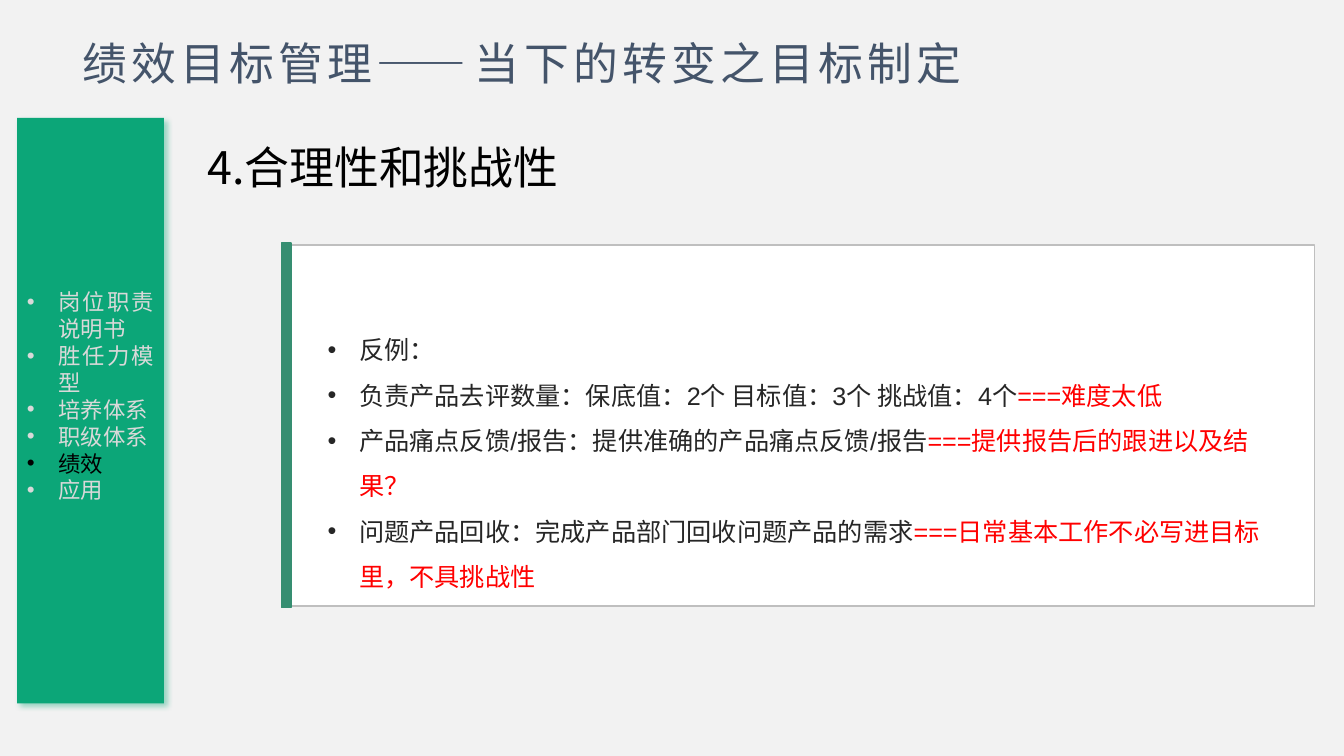
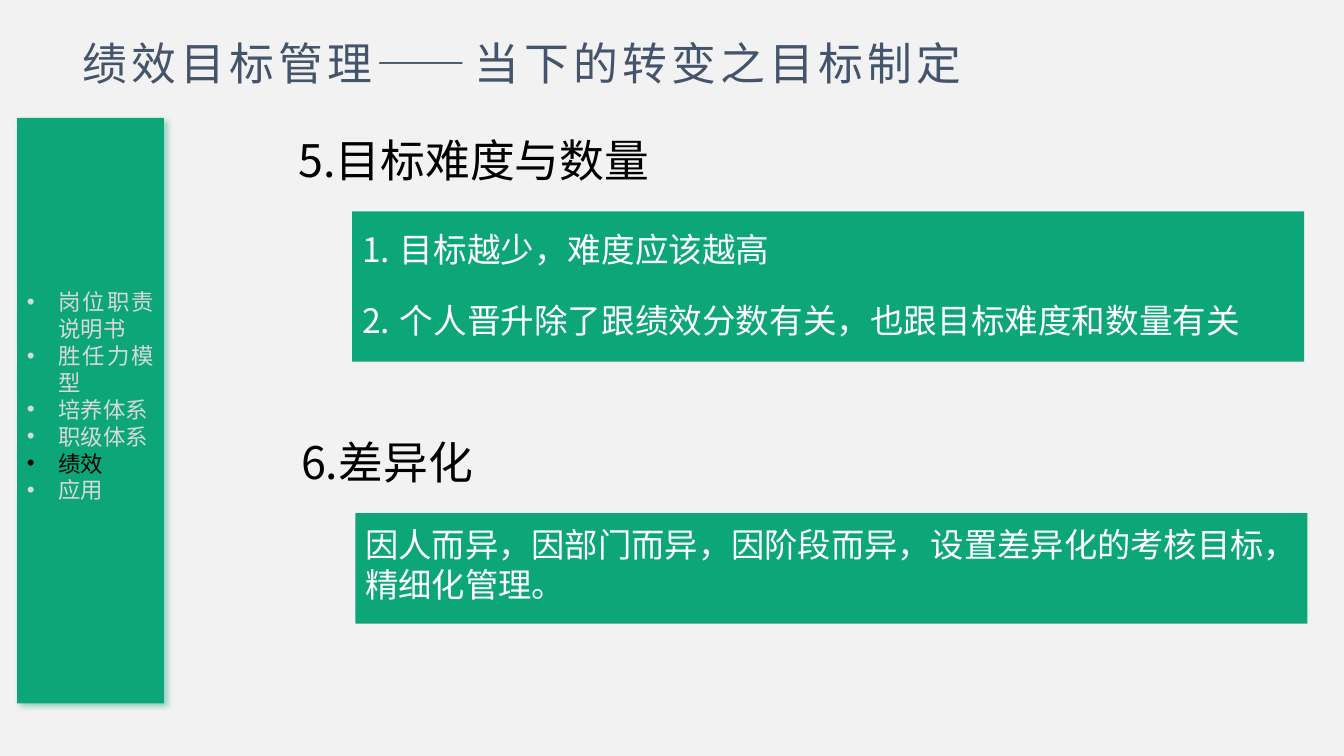
from lxml import etree
from pptx import Presentation
from pptx.dml.color import RGBColor
from pptx.enum.shapes import MSO_SHAPE
from pptx.enum.text import MSO_ANCHOR, PP_ALIGN
from pptx.oxml.ns import qn
from pptx.util import Pt

RECT = MSO_SHAPE.RECTANGLE
TOP, MIDDLE = MSO_ANCHOR.TOP, MSO_ANCHOR.MIDDLE
LEFT, CENTER, JUSTIFY = PP_ALIGN.LEFT, PP_ALIGN.CENTER, PP_ALIGN.JUSTIFY

PAPER = RGBColor(0xF2, 0xF2, 0xF2)
WHITE = RGBColor(0xFF, 0xFF, 0xFF)
BLACK = RGBColor(0, 0, 0)
SLATE = RGBColor(0x44, 0x54, 0x6A)
GREEN = RGBColor(0x0C, 0xA6, 0x78)
PINE = RGBColor(0x36, 0x8E, 0x71)
SILVER = RGBColor(0xBF, 0xBF, 0xBF)
PALE = RGBColor(0xD9, 0xD9, 0xD9)
INK = RGBColor(0x26, 0x26, 0x26)
RED = RGBColor(0xFF, 0, 0)

SANS, ARIAL = "Noto Sans CJK SC", "Arial"
TITLE = "绩效目标管理——当下的转变之目标制定"
MENU = ["岗位职责说明书", "胜任力模型", "培养体系", "职级体系", "绩效", "应用"]
ACTIVE = "绩效"
CASES = [
    ("反例：", ""),
    ("负责产品去评数量：保底值：2个 目标值：3个 挑战值：4个", "===难度太低"),
    ("产品痛点反馈/报告：提供准确的产品痛点反馈/报告", "===提供报告后的跟进以及结果？"),
    ("问题产品回收：完成产品部门回收问题产品的需求", "===日常基本工作不必写进目标里，不具挑战性"),
]
RULES = ["目标越少，难度应该越高", "个人晋升除了跟绩效分数有关，也跟目标难度和数量有关"]
CUSTOM = "因人而异，因部门而异，因阶段而异，设置差异化的考核目标，精细化管理。"


class Deck:
    def __init__(self):
        self.prs = Presentation()
        self.prs.slide_width, self.prs.slide_height = Pt(960), Pt(540)
        self.slide = None

    def page(self):
        self.slide = self.prs.slides.add_slide(self.prs.slide_layouts[6])
        fill = self.slide.background.fill
        fill.solid()
        fill.fore_color.rgb = PAPER
        frame = self.text(15, 22.3, 716, 46)
        self.para(frame, TITLE, 32, SLATE, align=CENTER, track=300)
        self.menu()

    def text(self, x, y, w, h, anchor=TOP):
        box = self.slide.shapes.add_textbox(Pt(x), Pt(y), Pt(w), Pt(h))
        frame = box.text_frame
        frame.word_wrap = True
        frame.vertical_anchor = anchor
        return frame

    def rect(self, x, y, w, h, color, line=None):
        shape = self.slide.shapes.add_shape(RECT, Pt(x), Pt(y), Pt(w), Pt(h))
        shape.shadow.inherit = False
        shape.fill.solid()
        shape.fill.fore_color.rgb = color
        if line is None:
            shape.line.fill.background()
        else:
            shape.line.color.rgb = line
            shape.line.width = Pt(1)
        return shape

    def para(self, frame, text, size, color, face=SANS, align=LEFT, space=1.0,
             bullet=None, indent=0, track=0):
        para = frame.paragraphs[0]
        if para.runs:
            para = frame.add_paragraph()
        para.alignment = align
        para.line_spacing = space
        props = para._p.get_or_add_pPr()
        if bullet:
            props.set("marL", str(Pt(indent)))
            props.set("indent", str(-Pt(indent)))
            if bullet == "1.":
                etree.SubElement(props, qn("a:buFont"), typeface="+mj-lt")
                etree.SubElement(props, qn("a:buAutoNum"), type="arabicPeriod")
            else:
                etree.SubElement(props, qn("a:buFont"), typeface=ARIAL)
                etree.SubElement(props, qn("a:buChar"), char=bullet)
        font = para.font
        font.size = Pt(size)
        font.name = face
        font.color.rgb = color
        base = props.find(qn("a:defRPr"))
        etree.SubElement(base, qn("a:ea"), typeface=SANS)
        if track:
            base.set("spc", str(track))
        para.add_run().text = text
        return para

    def head(self, x, y, text):
        frame = self.text(x, y, 420, 54)
        self.para(frame, text, 32, BLACK, space=1.2)

    def panel(self, x, y, h):
        frame = self.rect(x, y, 680, h, GREEN).text_frame
        frame.word_wrap = True
        frame.vertical_anchor = TOP
        frame.margin_top = Pt(8)
        return frame

    def menu(self):
        bar = self.rect(12.2, 84.2, 105, 418.3, GREEN)
        glow = bar._element.spPr.find(qn("a:effectLst"))
        shade = etree.SubElement(glow, qn("a:outerShdw"), blurRad=str(Pt(4)),
                                 dist=str(Pt(3)), dir="2700000", algn="tl",
                                 rotWithShape="0")
        tint = etree.SubElement(shade, qn("a:srgbClr"), val=str(GREEN))
        etree.SubElement(tint, qn("a:alpha"), val="40000")
        frame = self.text(12.2, 202.5, 105, 163)
        for item in MENU:
            self.para(frame, item, 16, BLACK if item == ACTIVE else PALE,
                      align=JUSTIFY, bullet="•", indent=22.5)

    def cases(self):
        self.rect(201, 175, 738, 258, WHITE, SILVER)
        frame = self.text(227, 237.6, 687, 175.7, MIDDLE)
        for fact, note in CASES:
            para = self.para(frame, fact, 18, INK, face=ARIAL, space=1.5,
                             bullet="•", indent=22.5)
            if note:
                run = para.add_run()
                run.text = note
                run.font.color.rgb = RED
        self.rect(201, 173.5, 7, 260.6, PINE, PINE)

    def rules(self):
        frame = self.panel(251.5, 151, 107.3)
        for index, rule in enumerate(RULES):
            para = self.para(frame, rule, 24, WHITE, space=1.15,
                             bullet="1.", indent=27)
            if index:
                para.space_before = Pt(18)

    def custom(self):
        frame = self.panel(253.8, 366.5, 79)
        self.para(frame, CUSTOM, 23.8, WHITE)


def main():
    deck = Deck()
    deck.page()
    deck.head(141, 88.5, "4.合理性和挑战性")
    deck.cases()
    deck.page()
    deck.head(206, 83.5, "5.目标难度与数量")
    deck.rules()
    deck.head(208, 299, "6.差异化")
    deck.custom()
    deck.prs.save("out.pptx")


if __name__ == "__main__":
    main()
